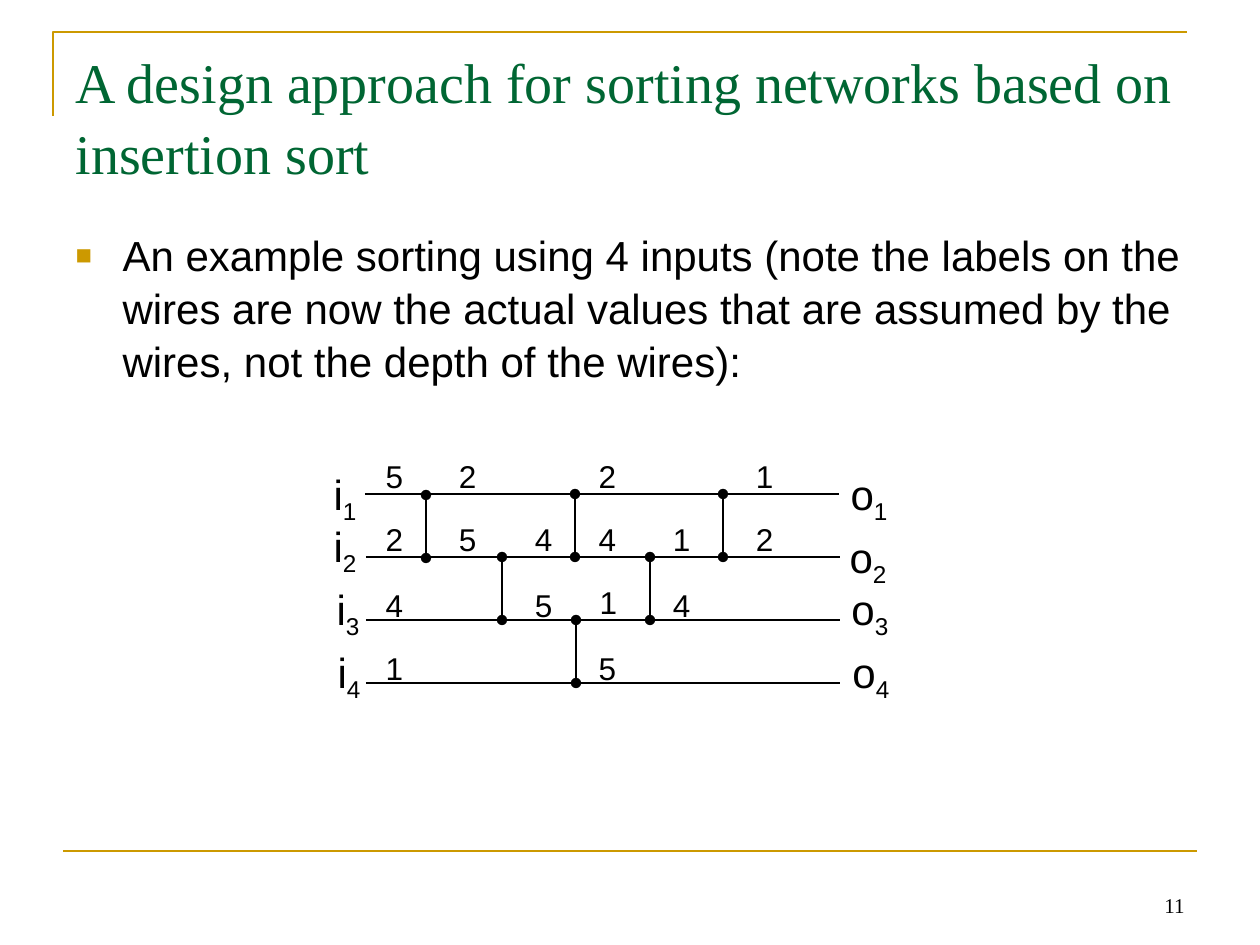
from lxml import etree
from pptx import Presentation
from pptx import util as u
from pptx.dml.color import RGBColor
from pptx.enum import shapes, text
from pptx.oxml.ns import qn

SCALE = 914400 / 126
BLACK = RGBColor(0x00, 0x00, 0x00)
GREEN = RGBColor(0x00, 0x66, 0x33)
GOLD = RGBColor(0xCC, 0x99, 0x00)
SERIF = "Times New Roman"
SANS = "Arial"

WIRE_TOP, WIRE_GAP = 494, 63
WIRES = [WIRE_TOP + WIRE_GAP * row for row in range(4)]
WIRE_LEFTS = [365, 366, 366, 366]
WIRE_LENGTH = 474

COMPARATORS = [(426, 495), (502, WIRES[1]), (575, WIRES[0]),
               (576, WIRES[2]), (650, WIRES[1]), (723, WIRES[0])]
INPUTS = [(321, 462), (321, 514), (324, 577), (325, 640)]
OUTPUTS = [(838, 462), (837, 525), (839, 577), (840, 640)]
VALUE_TOPS = [451, 514, 580, 643]
WIRE_VALUES = {
    373: ["5", "2", "4", "1"],
    446: ["2", "5"],
    522: [None, "4", "5"],
    586: ["2", "4", None, "5"],
    660: [None, "1", "4"],
    743: ["1", "2"],
}


def px(length):
    return u.Emu(round(length * SCALE))


class SlideBuilder:
    title_style = {"name": SERIF, "size": u.Pt(32), "bold": False}
    body_style = {"name": SANS, "size": u.Pt(24)}
    value_style = {"name": SANS, "size": u.Pt(18)}
    number_style = {"name": SERIF, "size": u.Pt(12)}

    def __init__(self, slide):
        self.slide = slide

    def format(self, font, style, color=BLACK):
        for name, value in style.items():
            setattr(font, name, value)
        font.color.rgb = color

    def place(self, shape, box):
        for name, value in zip(("left", "top", "width", "height"), box):
            setattr(shape, name, px(value))

    def placeholder(self, shape, content, box, style, color):
        self.place(shape, box)
        frame = shape.text_frame
        frame.text = content
        settings = {"vertical_anchor": text.MSO_ANCHOR.TOP,
                    "auto_size": text.MSO_AUTO_SIZE.NONE, "word_wrap": True}
        for name, value in settings.items():
            setattr(frame, name, value)
        paragraph = frame.paragraphs[0]
        paragraph.alignment = text.PP_ALIGN.LEFT
        paragraph.line_spacing = 1.05
        paragraph.space_before = u.Pt(0)
        self.format(paragraph.runs[0].font, style, color)
        return paragraph

    def title(self, content, box):
        self.placeholder(self.slide.shapes.title, content, box, self.title_style, GREEN)

    def bullet(self, content, box, indent):
        paragraph = self.placeholder(self.slide.placeholders[1], content, box,
                                     self.body_style, BLACK)
        properties = paragraph._p.get_or_add_pPr()
        properties.set("marL", str(px(indent)))
        properties.set("indent", str(-px(indent)))
        color = etree.SubElement(properties, qn("a:buClr"))
        etree.SubElement(color, qn("a:srgbClr"), val=str(GOLD))
        etree.SubElement(properties, qn("a:buSzPct"), val="65000")
        etree.SubElement(properties, qn("a:buFont"), typeface=SANS)
        etree.SubElement(properties, qn("a:buChar"), char="■")

    def label(self, content, box, style, subscript=None,
              alignment=text.PP_ALIGN.CENTER, anchor=text.MSO_ANCHOR.TOP):
        shape = self.slide.shapes.add_textbox(*map(px, box))
        frame = shape.text_frame
        frame.word_wrap = False
        frame.vertical_anchor = anchor
        paragraph = frame.paragraphs[0]
        paragraph.alignment = alignment
        run = paragraph.add_run()
        run.text = content
        self.format(run.font, style)
        if subscript:
            run = paragraph.add_run()
            run.text = subscript
            self.format(run.font, style)
            run._r.get_or_add_rPr().set("baseline", "-25000")

    def line(self, start, end, color=BLACK, width=0.75, dots=False):
        connector = self.slide.shapes.add_connector(
            shapes.MSO_CONNECTOR.STRAIGHT, *map(px, start + end))
        connector.line.color.rgb = color
        connector.line.width = u.Pt(width)
        if dots:
            outline = connector.line._get_or_add_ln()
            for tag in ("a:headEnd", "a:tailEnd"):
                etree.SubElement(outline, qn(tag), type="oval")
        etree.SubElement(connector._element.spPr, qn("a:effectLst"))

    def corner(self, start, *points):
        builder = self.slide.shapes.build_freeform(*start, scale=SCALE)
        builder.add_line_segments(points, close=False)
        shape = builder.convert_to_shape()
        shape.shadow.inherit = False
        shape.fill.background()
        shape.line.color.rgb = GOLD
        shape.line.width = u.Pt(1.5)


def main():
    presentation = Presentation()
    presentation.slide_width = px(1260)
    presentation.slide_height = px(945)
    builder = SlideBuilder(presentation.slides.add_slide(presentation.slide_layouts[1]))

    builder.corner((53, 116), (53, 32), (1187, 32))
    builder.line((63, 851), (1197, 851), GOLD, 1.5)
    builder.label("11", (903, 861, 294, 63), builder.number_style,
                  alignment=text.PP_ALIGN.RIGHT, anchor=text.MSO_ANCHOR.BOTTOM)
    builder.title("A design approach for sorting networks based on insertion sort",
                  (63, 38, 1134, 158))
    builder.bullet("An example sorting using 4 inputs (note the labels on the wires are now "
                   "the actual values that are assumed by the wires, not the depth of the "
                   "wires):", (63, 221, 1134, 624), 47)

    for left, top in zip(WIRE_LEFTS, WIRES):
        builder.line((left, top), (left + WIRE_LENGTH, top))
    for left, top in COMPARATORS:
        builder.line((left, top), (left, top + WIRE_GAP), dots=True)

    for letter, positions, width in (("i", INPUTS, 48), ("o", OUTPUTS, 62)):
        for number, (left, top) in enumerate(positions, 1):
            builder.label(letter, (left, top, width, 71), builder.body_style, str(number))

    for left, values in WIRE_VALUES.items():
        for top, value in zip(VALUE_TOPS, values):
            if value:
                builder.label(value, (left, top, 43, 50), builder.value_style)
    builder.label("1", (587, 577, 43, 50), builder.value_style)

    presentation.save("out.pptx")


if __name__ == "__main__":
    main()
